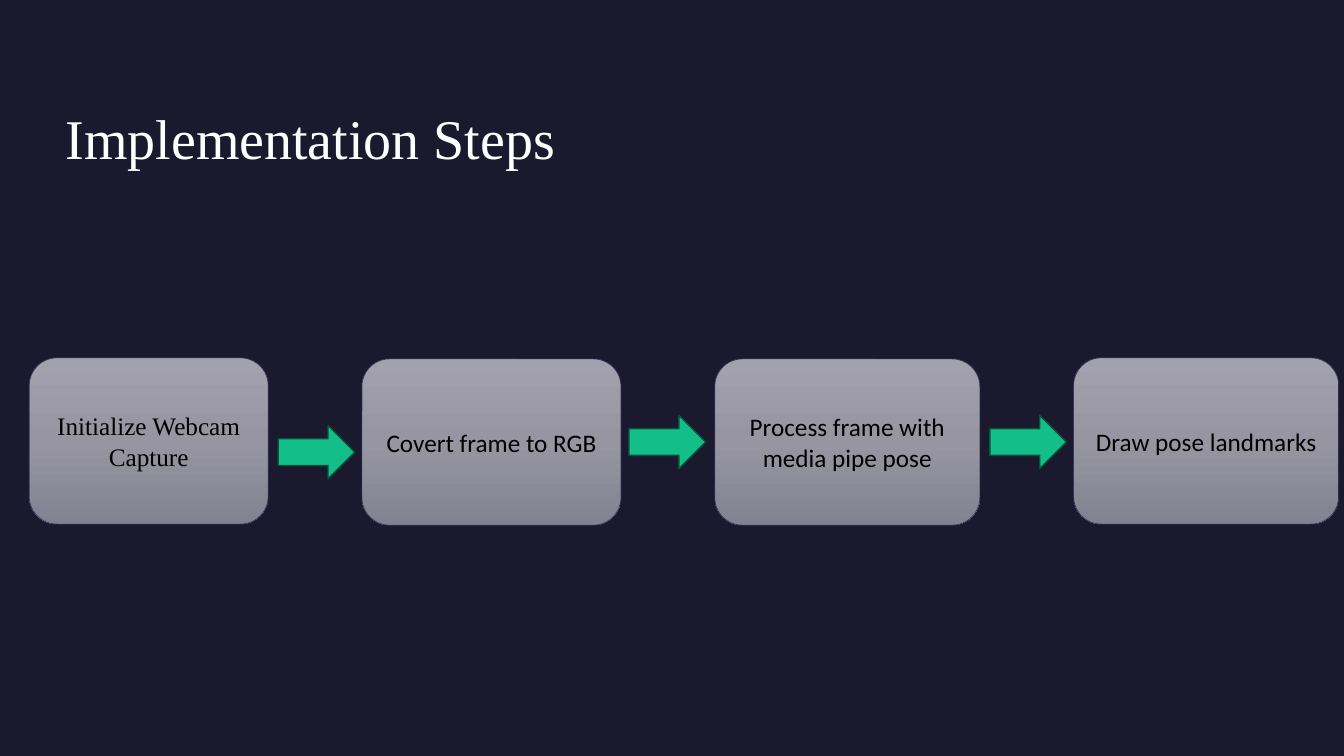
from copy import deepcopy

from pptx import Presentation
from pptx.dml.color import RGBColor
from pptx.enum.shapes import MSO_SHAPE as SHAPE
from pptx.enum.text import MSO_ANCHOR as ANCHOR, MSO_AUTO_SIZE as AUTO, PP_ALIGN as ALIGN
from pptx.oxml.ns import qn
from pptx.util import Inches, Pt

# Colours
NIGHT = RGBColor(0x1B, 0x19, 0x2E)
WHITE = RGBColor(0xFF, 0xFF, 0xFF)
BLACK = RGBColor(0x00, 0x00, 0x00)
CARD_GREYS = (RGBColor(0xA2, 0xA1, 0xAD), RGBColor(0x96, 0x95, 0xA1), RGBColor(0x83, 0x82, 0x92))
CARD_EDGE = RGBColor(0x37, 0x33, 0x5B)
GREEN = RGBColor(0x13, 0xBE, 0x89)
GREEN_EDGE = RGBColor(0x08, 0x53, 0x3C)

# Slide size; positions below are percentages of it
WIDTH, HEIGHT = Inches(13.33), Inches(7.5)
CARD_HEIGHT = 22
ARROW_SIZE = (5.7, 7.07)

# Left, top, width, font, text
STEPS = [
    (2.18, 47.33, 17.78, "Times New Roman", "Initialize Webcam Capture"),
    (26.93, 47.47, 19.28, "Calibri", "Covert frame to RGB"),
    (53.18, 47.47, 19.73, "Calibri", "Process frame with media pipe pose"),
    (79.88, 47.33, 19.73, "Calibri", "Draw pose landmarks"),
]
# Left, top
ARROWS = [(20.7, 56.27), (46.8, 54.93), (73.65, 54.93)]


def area(left, top, width, height):
    """Turn percentages of the slide into lengths."""
    return (int(WIDTH * left / 100), int(HEIGHT * top / 100),
            int(WIDTH * width / 100), int(HEIGHT * height / 100))


def write(tf, text, font, size, color, align):
    tf.text = text
    tf.word_wrap = True
    p = tf.paragraphs[0]
    p.alignment = align
    r = p.runs[0]
    r.font.name, r.font.size = font, Pt(size)
    r.font.color.rgb = color


def add_outlined(s, kind, box, edge, weight):
    sp = s.shapes.add_shape(kind, *area(*box))
    sp.shadow.inherit = False
    sp.line.color.rgb = edge
    sp.line.width = Pt(weight)
    return sp


def fill_gradient(sp, colors):
    """Fill from top to bottom with three evenly spaced colours."""
    sp.fill.gradient()
    sp.fill.gradient_angle = 270
    stops = sp._element.spPr.find(".//" + qn("a:gsLst"))
    stops.insert(1, deepcopy(stops[0]))
    for i, (stop, color) in enumerate(zip(sp.fill.gradient_stops, colors)):
        stop.color.rgb = color
        stop.position = i / 2


def add_title(s, text):
    title = s.shapes.title
    title.left, title.top, title.width, title.height = area(4.13, 13.07, 50, 10.27)
    tf = title.text_frame
    write(tf, text, "Times New Roman", 40, WHITE, ALIGN.LEFT)
    tf.vertical_anchor = ANCHOR.TOP
    tf.auto_size = AUTO.SHAPE_TO_FIT_TEXT


def add_step(s, left, top, width, font, text):
    sp = add_outlined(s, SHAPE.ROUNDED_RECTANGLE, (left, top, width, CARD_HEIGHT), CARD_EDGE, 0.5)
    fill_gradient(sp, CARD_GREYS)
    write(sp.text_frame, text, font, 18, BLACK, ALIGN.CENTER)
    sp.text_frame.vertical_anchor = ANCHOR.MIDDLE


def add_arrow(s, left, top):
    sp = add_outlined(s, SHAPE.RIGHT_ARROW, (left, top, *ARROW_SIZE), GREEN_EDGE, 1)
    sp.fill.solid()
    sp.fill.fore_color.rgb = GREEN


def main():
    prs = Presentation()
    prs.slide_width, prs.slide_height = WIDTH, HEIGHT
    s = prs.slides.add_slide(prs.slide_layouts[5])
    s.background.fill.solid()
    s.background.fill.fore_color.rgb = NIGHT

    add_title(s, "Implementation Steps")

    # Process flow
    for step in STEPS:
        add_step(s, *step)
    for arrow in ARROWS:
        add_arrow(s, *arrow)

    prs.save("out.pptx")


if __name__ == "__main__":
    main()
